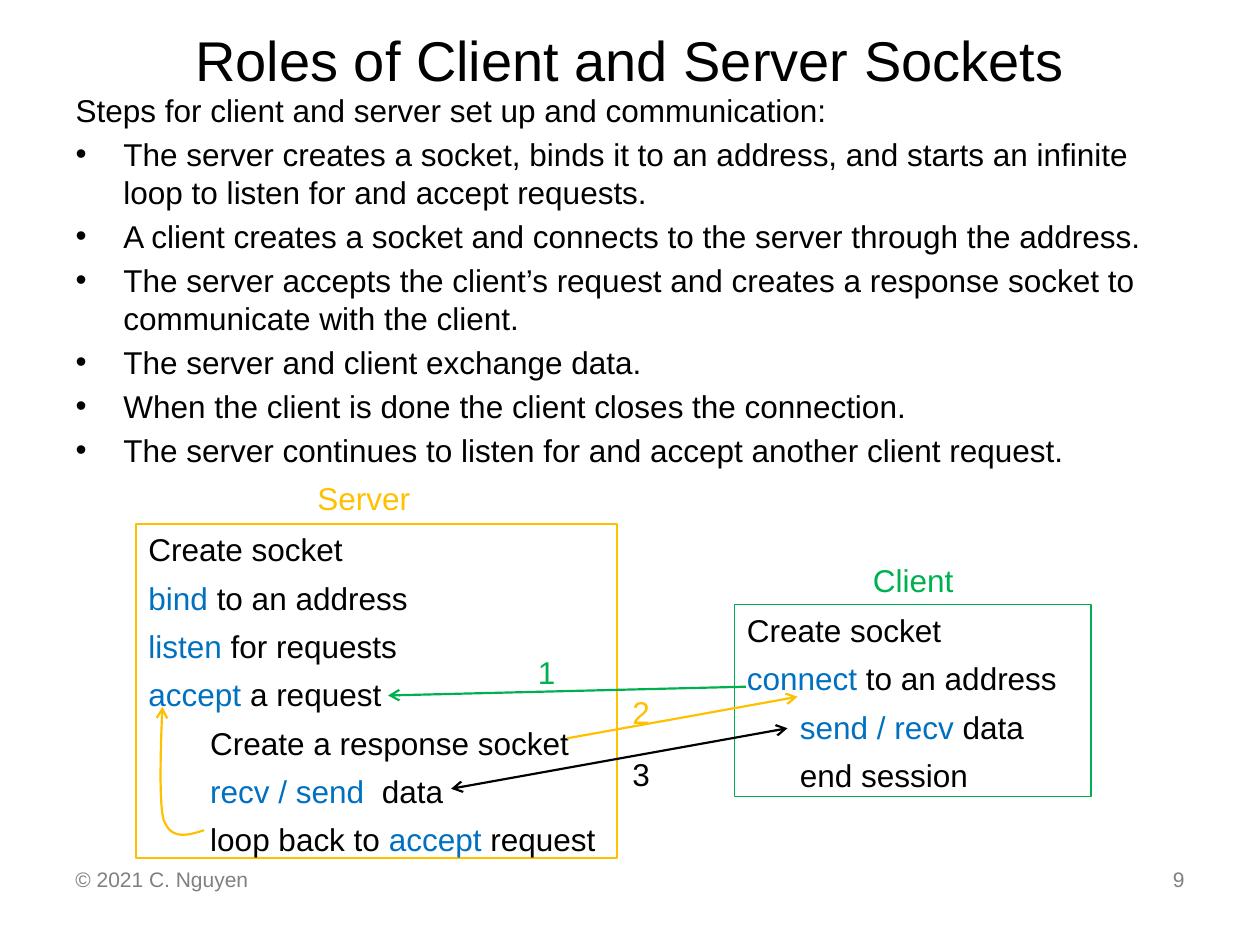
"""Build a slide on the roles of client and server sockets."""
from lxml.etree import SubElement
from pptx import Presentation
from pptx.dml.color import RGBColor
from pptx.enum.shapes import MSO_CONNECTOR, MSO_SHAPE
from pptx.enum.text import MSO_ANCHOR, MSO_AUTO_SIZE, PP_ALIGN
from pptx.oxml.ns import qn
from pptx.util import Inches, Pt

BLACK, BLUE, GREEN, AMBER, GREY = "000000", "0070C0", "00B050", "FFC000", "808080"


def write(frame, lines, size=18, color=BLACK, align=PP_ALIGN.LEFT,
          anchor=MSO_ANCHOR.TOP, before=None, wrap=True):
    """Fill a frame with lines of (indent, hanging, bullet, runs)."""
    frame.word_wrap = wrap
    frame.auto_size = MSO_AUTO_SIZE.NONE
    frame.vertical_anchor = anchor
    for index, (indent, hanging, bullet, runs) in enumerate(lines):
        paragraph = frame.add_paragraph() if index else frame.paragraphs[0]
        paragraph.alignment = align
        if before is not None:
            paragraph.space_before = Pt(before)
        properties = paragraph._p.get_or_add_pPr()
        properties.set("marL", str(Inches(indent)))
        properties.set("indent", str(-Inches(hanging)))
        if bullet:
            SubElement(properties, qn("a:buFont")).set("typeface", "Arial")
            SubElement(properties, qn("a:buChar")).set("char", bullet)
        else:
            SubElement(properties, qn("a:buNone"))
        for words, run_color in runs:
            run = paragraph.add_run()
            run.text = words
            run.font.name = "Arial"
            run.font.size = Pt(size)
            run.font.color.rgb = RGBColor.from_string(run_color or color)


def style_arrow(arrow, color, ends):
    """Colour a line and put open arrowheads on the given ends."""
    arrow.line.color.rgb = RGBColor.from_string(color)
    arrow.line.width = Pt(1.25)
    outline = arrow.line._get_or_add_ln()
    for end in ends:
        SubElement(outline, qn("a:" + end)).set("type", "arrow")


presentation = Presentation()
presentation.slide_width, presentation.slide_height = Inches(10), Inches(7.5)
slide = presentation.slides.add_slide(presentation.slide_layouts[1])
shapes = slide.shapes

title, steps = slide.placeholders
title.left, title.top, title.width, title.height = map(Inches, (0.5, 0.08, 9, 0.78))
write(title.text_frame, [(0, 0, None, [("Roles of Client and Server Sockets", None)])],
      size=32, align=PP_ALIGN.CENTER, anchor=MSO_ANCHOR.MIDDLE)

step_texts = [
    "The server creates a socket, binds it to an address, and starts an infinite "
    "loop to listen for and accept requests.",
    "A client creates a socket and connects to the server through the address.",
    "The server accepts the client’s request and creates a response socket to "
    "communicate with the client.",
    "The server and client exchange data.",
    "When the client is done the client closes the connection.",
    "The server continues to listen for and accept another client request.",
]
steps.left, steps.top, steps.width, steps.height = map(Inches, (0.5, 0.67, 9.08, 6.33))
intro = (0, 0, None, [("Steps for client and server set up and communication:", None)])
write(steps.text_frame,
      [intro] + [(0.38, 0.38, "•", [(step, None)]) for step in step_texts])

server_lines = [
    (0, [("Create socket", None)]),
    (0, [("bind", BLUE), (" to an address", None)]),
    (0, [("listen", BLUE), (" for requests", None)]),
    (0, [("accept ", BLUE), ("a request", None)]),
    (0.49, [("Create a response socket", None)]),
    (0.49, [("recv / send  ", BLUE), ("data", None)]),
    (0.49, [("loop back to ", None), ("accept", BLUE), (" request", None)]),
]
client_lines = [
    (0, [("Create socket", None)]),
    (0, [("connect ", BLUE), ("to an address", None)]),
    (0.42, [("send / recv ", BLUE), ("data", None)]),
    (0.42, [("end session", None)]),
]
for bounds, color, width, lines in [
    ((1.08, 4.16, 3.82, 2.65), AMBER, 1.25, server_lines),
    ((5.83, 4.8, 2.83, 1.52), GREEN, 0.75, client_lines),
]:
    role = shapes.add_shape(MSO_SHAPE.RECTANGLE, *map(Inches, bounds))
    role.shadow.inherit = False
    role.fill.background()
    role.line.color.rgb = RGBColor.from_string(color)
    role.line.width = Pt(width)
    write(role.text_frame, [(indent, 0, None, runs) for indent, runs in lines], before=6)

for start, finish, color, ends in [
    ((5.92, 5.45), (3.08, 5.52), GREEN, ["tailEnd"]),
    ((4.5, 5.86), (6.33, 5.53), AMBER, ["tailEnd"]),
    ((3.58, 6.26), (6.25, 5.78), BLACK, ["headEnd", "tailEnd"]),
]:
    message = shapes.add_connector(MSO_CONNECTOR.STRAIGHT, *map(Inches, start + finish))
    SubElement(message._element.spPr, qn("a:effectLst"))
    style_arrow(message, color, ends)

loop_curves = [
    [(1.62, 6.59), (1.49, 6.63), (1.36, 6.67), (1.3, 6.51)],
    [(1.3, 6.51), (1.25, 6.35), (1.29, 5.61), (1.29, 5.61)],
]
loop_points = []
for curve in loop_curves:
    for t in [step / 12 for step in range(1, 13)]:
        weights = [(1 - t) ** 3, 3 * t * (1 - t) ** 2, 3 * t ** 2 * (1 - t), t ** 3]
        loop_points.append(tuple(
            Inches(sum(weight * point[axis] for weight, point in zip(weights, curve)))
            for axis in (0, 1)))
builder = shapes.build_freeform(*map(Inches, loop_curves[0][0]))
builder.add_line_segments(loop_points, close=False)
loop_back = builder.convert_to_shape()
loop_back.shadow.inherit = False
loop_back.fill.background()
style_arrow(loop_back, AMBER, ["tailEnd"])

for words, bounds, size, color, align, wrap in [
    ("Server", (2.42, 3.75, 0.95, 0.39), 18, AMBER, PP_ALIGN.LEFT, False),
    ("Client", (6.83, 4.4, 0.85, 0.39), 18, GREEN, PP_ALIGN.LEFT, False),
    ("1", (4.17, 5.13, 0.25, 0.39), 18, GREEN, PP_ALIGN.LEFT, True),
    ("2", (4.92, 5.45, 0.25, 0.39), 18, AMBER, PP_ALIGN.LEFT, True),
    ("3", (4.92, 5.94, 0.25, 0.39), 18, BLACK, PP_ALIGN.LEFT, True),
    ("© 2021 C. Nguyen", (0.5, 6.83, 2.33, 0.52), 12, GREY, PP_ALIGN.LEFT, True),
    ("9", (7.17, 6.83, 2.33, 0.52), 12, GREY, PP_ALIGN.RIGHT, True),
]:
    label = shapes.add_textbox(*map(Inches, bounds))
    write(label.text_frame, [(0, 0, None, [(words, None)])],
          size=size, color=color, align=align, wrap=wrap)

presentation.save("out.pptx")
